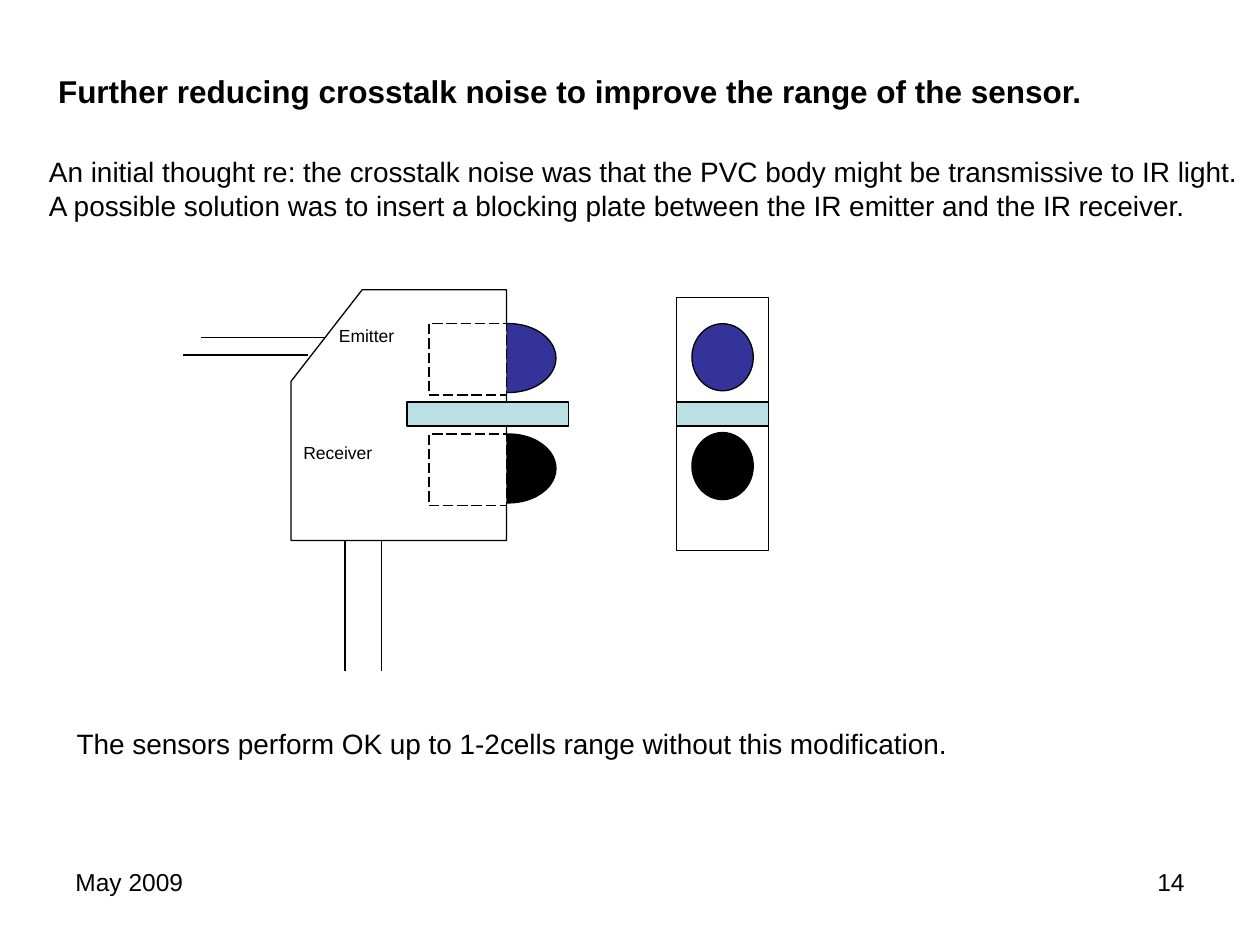
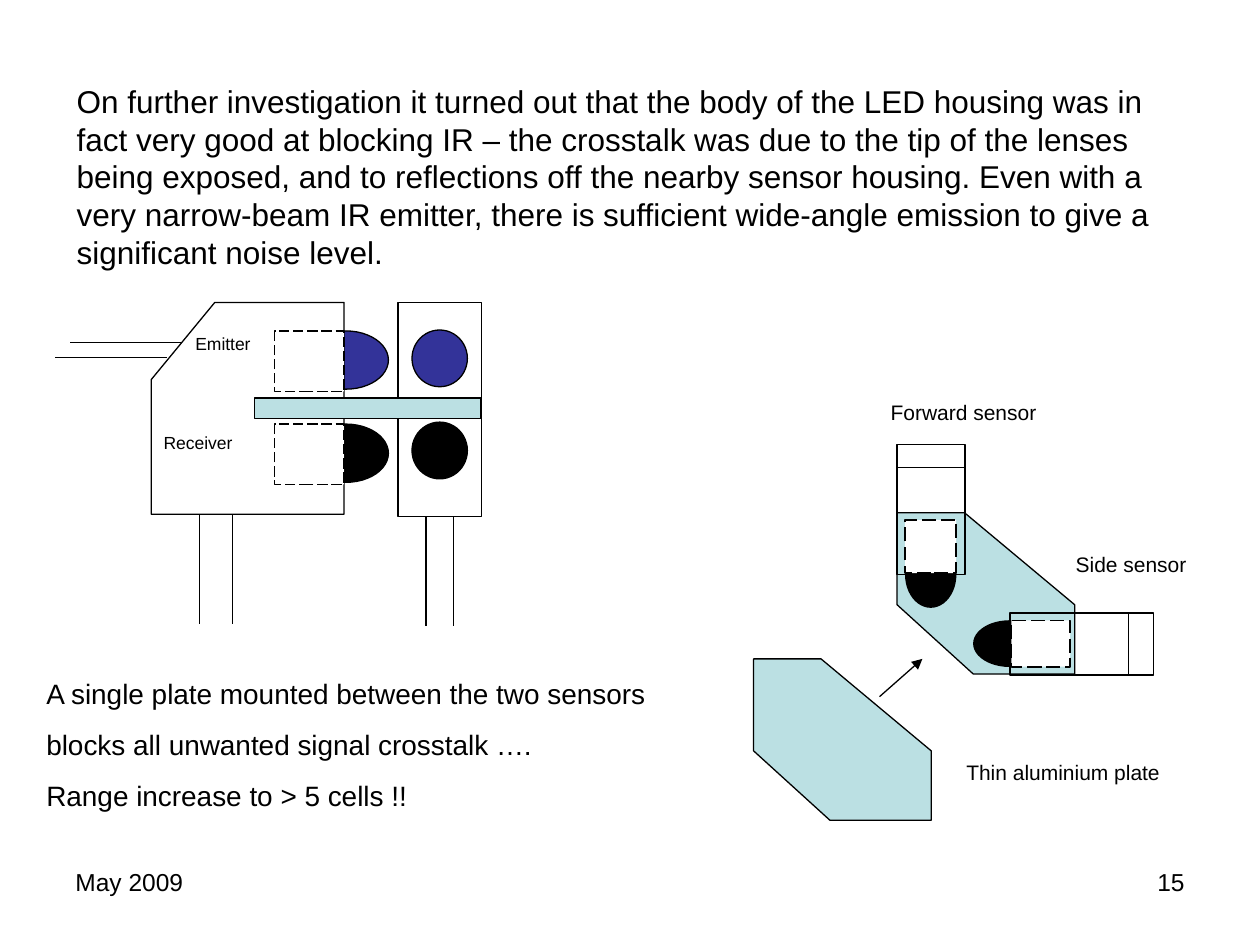
from lxml import etree
from pptx import Presentation
from pptx.dml.color import RGBColor
from pptx.enum.dml import MSO_LINE
from pptx.enum.shapes import MSO_CONNECTOR, MSO_SHAPE
from pptx.enum.text import MSO_ANCHOR, MSO_AUTO_SIZE, PP_ALIGN
from pptx.oxml.ns import qn
from pptx.util import Pt

RECT, OVAL = MSO_SHAPE.RECTANGLE, MSO_SHAPE.OVAL
STRAIGHT = MSO_CONNECTOR.STRAIGHT
LONG_DASH = MSO_LINE.LONG_DASH
LEFT, RIGHT = PP_ALIGN.LEFT, PP_ALIGN.RIGHT
TOP = MSO_ANCHOR.TOP
NO_AUTOFIT = MSO_AUTO_SIZE.NONE

FONT = "Arial"
BLACK, WHITE = "000000", "FFFFFF"
EMITTER, RECEIVER, PLATE = "333399", "000000", "BBE0E3"
TITLE_ONLY, BLANK = 5, 6


def color(value):
    return RGBColor.from_string(value)


def write(shape, text, size=16, bold=False, align=LEFT, gap=0):
    """Fill a text shape, one paragraph per line, with gap points between them."""
    frame = shape.text_frame
    frame.word_wrap = True
    frame.auto_size = NO_AUTOFIT
    frame.vertical_anchor = TOP
    frame.margin_left = frame.margin_right = Pt(7.2)
    frame.margin_top = frame.margin_bottom = Pt(3.6)
    for index, line in enumerate(text.split("\n")):
        paragraph = frame.add_paragraph() if index else frame.paragraphs[0]
        paragraph.text = line
        paragraph.alignment = align
        paragraph.space_before = Pt(gap if index else 0)
        font = paragraph.font
        font.name, font.size, font.bold = FONT, Pt(size), bold
        font.color.rgb = color(BLACK)


def add_text(slide, box, text, **style):
    write(slide.shapes.add_textbox(*map(Pt, box)), text, **style)


def paint(shape, fill, width=0.75, dash=None):
    shape.shadow.inherit = False
    if fill:
        shape.fill.solid()
        shape.fill.fore_color.rgb = color(fill)
    else:
        shape.fill.background()
    shape.line.color.rgb = color(BLACK)
    shape.line.width = Pt(width)
    if dash:
        shape.line.dash_style = dash


def add_part(slide, kind, box, fill, **style):
    paint(slide.shapes.add_shape(kind, *map(Pt, box)), fill, **style)


def add_outline(slide, points, fill):
    builder = slide.shapes.build_freeform(*map(Pt, points[0]), scale=1.0)
    builder.add_line_segments([(Pt(x), Pt(y)) for x, y in points[1:]], close=True)
    paint(builder.convert_to_shape(), fill)


def add_line(slide, start, end, width=0.75, arrow=False):
    line = slide.shapes.add_connector(STRAIGHT, *map(Pt, start + end))
    line.line.color.rgb = color(BLACK)
    line.line.width = Pt(width)
    if arrow:
        etree.SubElement(line.line._get_or_add_ln(), qn("a:tailEnd"), type="triangle")
    etree.SubElement(line._element.spPr, qn("a:effectLst"))


def footer(slide, number):
    add_text(slide, (36, 492, 168, 37), "May 2009", size=14)
    add_text(slide, (516, 492, 168, 37), str(number), size=14, align=RIGHT)


def side_view(slide, left, top, width, height):
    """Sensor housing seen from the side, with both lenses and their leads."""
    def at(x, y):
        return left + x * width, top + y * height

    def box(x, y, w, h):
        return *at(x, y), w * width, h * height

    optics = ((0.135, EMITTER), (0.575, RECEIVER))
    for y, fill in optics:
        add_part(slide, OVAL, box(0.79, y, 0.44, 0.275), fill)
    add_outline(slide, [at(0.33, 0), at(1, 0), at(1, 1), at(0, 1), at(0, 0.365)], WHITE)
    for y, _ in optics:
        add_part(slide, RECT, box(0.64, y, 0.36, 0.285), WHITE, dash=LONG_DASH)
    for x, y in ((0.16, 0.19), (0.08, 0.26)):
        add_line(slide, at(x, y), at(x - 0.58, y))
    for x in (0.25, 0.42):
        add_line(slide, at(x, 1), at(x, 1.52))
    for x, y, label in ((0.165, 0.115, "Emitter"), (0, 0.583, "Receiver")):
        add_text(slide, (*at(x, y), 64, 20), label, size=10)


def front_view(slide, left, top, width, height, first_lens):
    """Housing seen from the front; first_lens is the upper lens's relative top."""
    add_part(slide, RECT, (left, top, width, height), WHITE)
    for y, fill in ((first_lens, EMITTER), (first_lens + 0.43, RECEIVER)):
        lens = left + width / 6, top + y * height, width * 2 / 3, height * 0.265
        add_part(slide, OVAL, lens, fill)


def sensor_from_above(slide, left, top, width, height):
    """Upright boxes face down, wide boxes face left."""
    upright = height > width

    def box(along, across, length, breadth):
        if upright:
            return (left + across * width, top + along * height,
                    breadth * width, length * height)
        return (left + (1 - along - length) * width, top + across * height,
                length * width, breadth * height)

    add_part(slide, RECT, (left, top, width, height), None, width=1)
    x, y, w, h = box(0, 0, 0.175, 1)
    if upright:
        add_line(slide, (x, y + h), (x + w, y + h), width=1)
    else:
        add_line(slide, (x, y), (x, y + h), width=1)
    add_part(slide, OVAL, box(0.75, 0.13, 0.5, 0.73), RECEIVER, width=1)
    add_part(slide, RECT, box(0.58, 0.12, 0.41, 0.75), WHITE, width=1, dash=LONG_DASH)


def aluminium_plate(slide, left, top, width=101.5, height=92.2):
    corners = ((0, 0), (0.38, 0), (1, 0.57), (1, 1), (0.43, 1), (0, 0.57))
    add_outline(slide, [(left + x * width, top + y * height) for x, y in corners], PLATE)


def plate_assembly(slide, left, top):
    """Loose plate, and the same plate fitted between the two sensors."""
    aluminium_plate(slide, left + 82, top + 68.4)
    sensor_from_above(slide, left + 82, top + 29.5, 38.9, 74.2)
    sensor_from_above(slide, left + 146.5, top + 125.7, 82.1, 35.3)
    aluminium_plate(slide, left, top + 151.9)
    add_line(slide, (left + 72, top + 173.5), (left + 96.5, top + 151.9), arrow=True)
    for x, y, label in ((71.3, 0, "Forward sensor"), (177, 87.1, "Side sensor"),
                        (114.5, 205.9, "Thin aluminium plate")):
        add_text(slide, (left + x, top + y, 136, 21.6), label, size=12)


def blocking_plate_slide(prs):
    slide = prs.slides.add_slide(prs.slide_layouts[TITLE_ONLY])
    title = slide.shapes.title
    title.left, title.top, title.width, title.height = map(Pt, (26, 37.5, 612, 29))
    write(title, "Further reducing crosstalk noise to improve the range of the sensor.",
          size=18, bold=True)
    add_text(slide, (20.9, 85, 699, 46),
             "An initial thought re: the crosstalk noise was that the PVC body might be "
             "transmissive to IR light.\nA possible solution was to insert a blocking "
             "plate between the IR emitter and the IR receiver.")
    side_view(slide, 166.3, 165.6, 123.1, 143.3)
    front_view(slide, 386.6, 169.9, 52.6, 144.7, first_lens=0.104)
    for left, width in ((232.6, 92.2), (386.6, 52.6)):
        add_part(slide, RECT, (left, 229.7, width, 13.7), PLATE)
    add_text(slide, (36.7, 411.8, 631, 27),
             "The sensors perform OK up to 1-2cells range without this modification.")
    footer(slide, 14)


def single_plate_slide(prs):
    slide = prs.slides.add_slide(prs.slide_layouts[BLANK])
    add_text(slide, (36.7, 43.2, 646.6, 115),
             "On further investigation it turned out that the body of the LED housing was "
             "in fact very good at blocking IR – the crosstalk was due to the tip of the "
             "lenses being exposed, and to reflections off the nearby sensor housing. Even "
             "with a very narrow-beam IR emitter, there is sufficient wide-angle emission "
             "to give a significant noise level.", size=18)
    side_view(slide, 86.4, 172.8, 110.2, 121)
    front_view(slide, 227.5, 172.8, 47.5, 122.4, first_lens=0.129)
    for lead in (243.4, 259.2):
        add_line(slide, (lead, 295.2), (lead, 358))
    add_part(slide, RECT, (145.4, 227.5, 129.6, 11.5), PLATE)
    add_text(slide, (19.4, 383, 363, 85),
             "A single plate mounted between the two sensors\n"
             "blocks all unwanted signal crosstalk ….\n"
             "Range increase to > 5 cells !!", gap=10)
    plate_assembly(slide, 430.6, 224.6)
    footer(slide, 15)


def main():
    prs = Presentation()
    prs.slide_width, prs.slide_height = Pt(720), Pt(540)
    blocking_plate_slide(prs)
    single_plate_slide(prs)
    prs.save("out.pptx")


if __name__ == "__main__":
    main()
